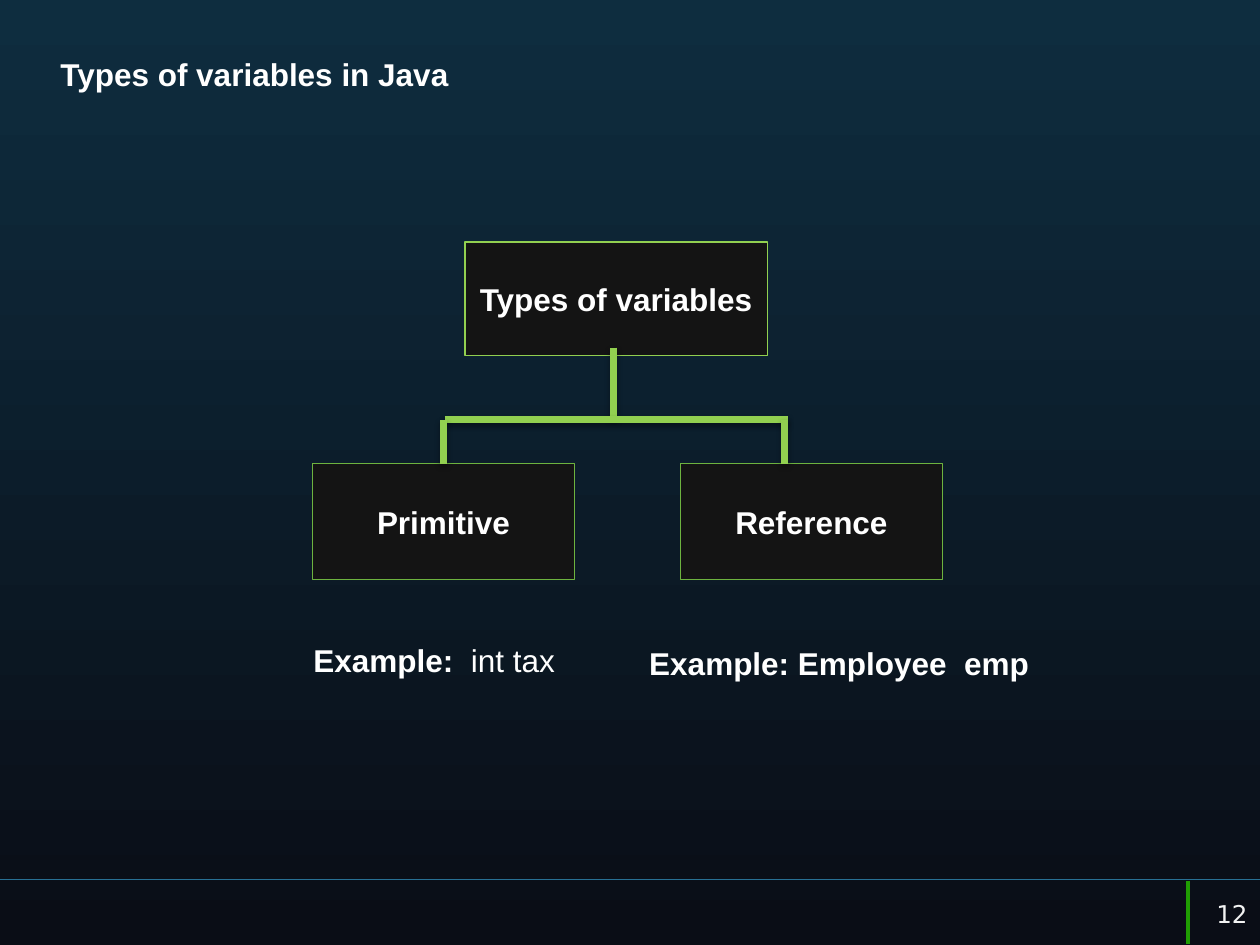
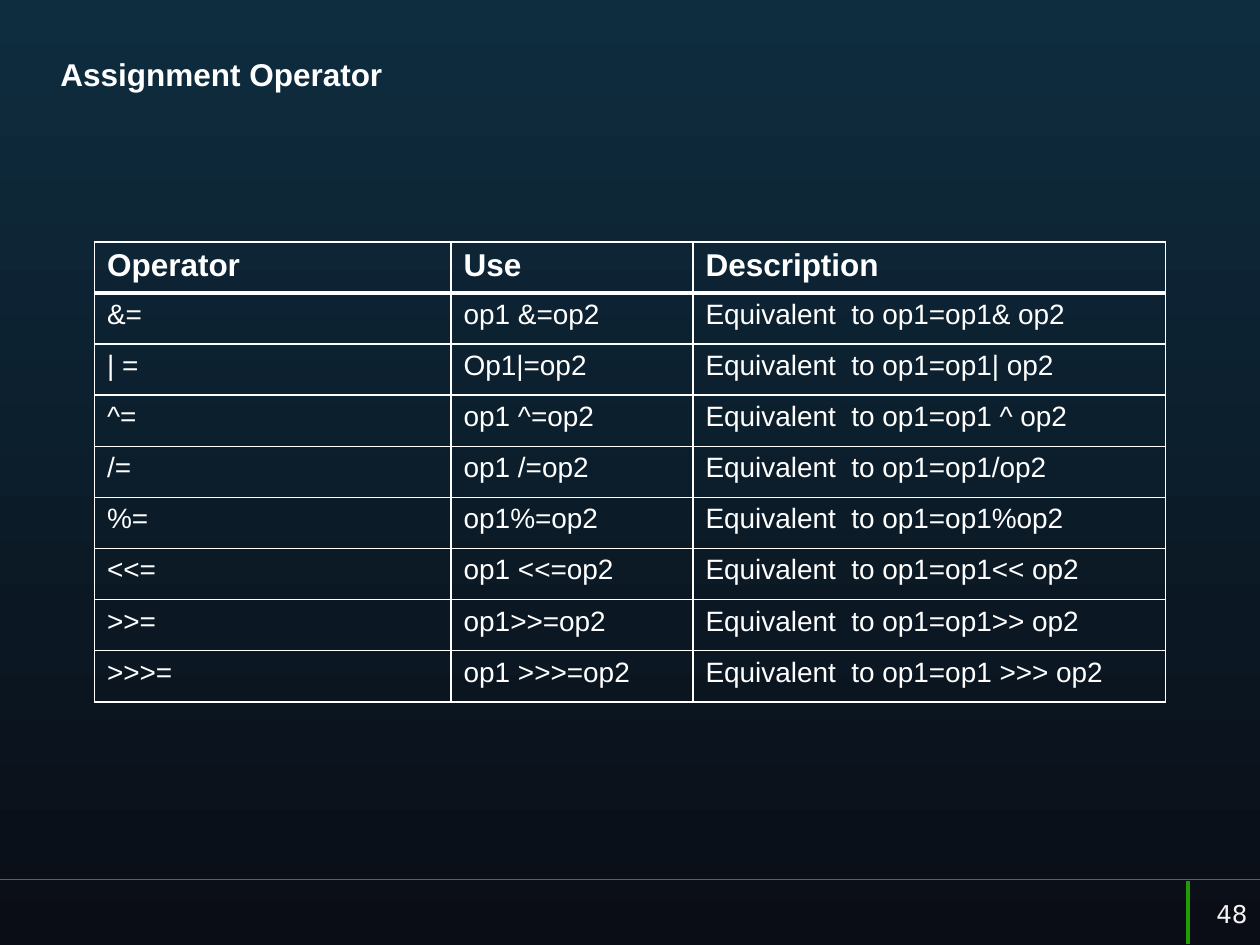
from lxml.etree import SubElement
from pptx import Presentation
from pptx.dml.color import RGBColor
from pptx.enum.shapes import MSO_CONNECTOR, MSO_SHAPE
from pptx.enum.text import MSO_ANCHOR, MSO_AUTO_SIZE, PP_ALIGN
from pptx.oxml.ns import qn
from pptx.util import Inches, Pt

COLOURS = {
    "top": "0E2D3F",
    "bottom": "0A0D16",
    "rule": "287094",
    "marker": "209D03",
    "box": "141414",
    "edge": "6DB33F",
    "branch": "92D050",
    "text": "FFFFFF",
    "number": "F2F2F2",
    "shadow": "000000",
}
FONT = "Arial"
NUMBER_FONT = "DejaVu Sans"
TITLE_ONLY = 5

BOX_TOP, BOX_WIDTH, BOX_HEIGHT = 3.68, 2.08, 0.92
PRIMITIVE_LEFT, REFERENCE_LEFT = 2.48, 5.4
BRANCH_LEFT, BRANCH_RIGHT, BRANCH_Y = 3.53, 6.25, 3.33
TRUNK_X, TRUNK_TOP, REFERENCE_X = 4.87, 2.76, 6.23

HEADINGS = ("Operator", "Use", "Description")
OPERATORS = [
    ("&=", "op1 &=op2", "op1& op2"),
    ("| =", "Op1|=op2", "op1| op2"),
    ("^=", "op1 ^=op2", "op1 ^ op2"),
    ("/=", "op1 /=op2", "op1/op2"),
    ("%=", "op1%=op2", "op1%op2"),
    ("<<=", "op1 <<=op2", "op1<< op2"),
    (">>=", "op1>>=op2", "op1>> op2"),
    (">>>=", "op1 >>>=op2", "op1 >>> op2"),
]
COLUMN_WIDTHS = (2.83, 1.92, 3.75)
TABLE_HEIGHT = 3.65


def colour(name):
    return RGBColor.from_string(COLOURS[name])


def write(frame, *texts, size=18, font=FONT, ink="text", bold=(True,),
          align=PP_ALIGN.LEFT, anchor=MSO_ANCHOR.TOP):
    frame.vertical_anchor = anchor
    para = frame.paragraphs[0]
    para.alignment = align
    for text, heavy in zip(texts, bold):
        span = para.add_run()
        span.text = text
        span.font.size = Pt(size)
        span.font.name = font
        span.font.bold = heavy
        span.font.color.rgb = colour(ink)


def add_line(shapes, start, end, ink, width, shadow=False):
    line = shapes.add_connector(MSO_CONNECTOR.STRAIGHT, *map(Inches, start + end))
    line.line.color.rgb = colour(ink)
    line.line.width = Pt(width)
    effects = SubElement(line._element.spPr, qn("a:effectLst"))
    if shadow:
        outer = SubElement(effects, qn("a:outerShdw"), blurRad=str(Pt(3.1)),
                           dist=str(Pt(1.6)), dir="5400000", rotWithShape="0")
        shade = SubElement(outer, qn("a:srgbClr"), val=COLOURS["shadow"])
        SubElement(shade, qn("a:alpha"), val="38000")
    return line


def add_box(shapes, text, left, top, width, height, edge):
    box = shapes.add_shape(MSO_SHAPE.RECTANGLE, *map(Inches, (left, top, width, height)))
    box.shadow.inherit = False
    box.fill.solid()
    box.fill.fore_color.rgb = colour("box")
    box.line.color.rgb = colour(edge)
    box.line.width = Pt(0.75)
    write(box.text_frame, text, align=PP_ALIGN.CENTER, anchor=MSO_ANCHOR.MIDDLE)
    return box


def add_text(page, *texts, at, wrap=False, **style):
    frame = page.shapes.add_textbox(*map(Inches, at)).text_frame
    frame.word_wrap = wrap
    frame.auto_size = MSO_AUTO_SIZE.NONE if wrap else MSO_AUTO_SIZE.SHAPE_TO_FIT_TEXT
    write(frame, *texts, **style)


def add_page(deck, title, number):
    page = deck.slides.add_slide(deck.slide_layouts[TITLE_ONLY])
    fill = page.background.fill
    fill.gradient()
    fill.gradient_angle = 270
    for stop, name, position in zip(fill.gradient_stops, ("top", "bottom"), (0, 1)):
        stop.color.rgb = colour(name)
        stop.position = position
    add_line(page.shapes, (10, 6.98), (0, 6.98), "rule", 0.75)
    add_line(page.shapes, (9.43, 6.99), (9.43, 7.49), "marker", 2)
    heading = page.shapes.title
    heading.left, heading.top, heading.width, heading.height = map(
        Inches, (0.38, 0.39, 9.18, 0.66))
    write(heading.text_frame, title)
    add_text(page, number, at=(9.42, 7, 0.58, 0.5), wrap=True, size=14,
             font=NUMBER_FONT, ink="number", bold=(False,),
             align=PP_ALIGN.RIGHT, anchor=MSO_ANCHOR.MIDDLE)
    return page


def set_borders(cell, **widths):
    properties = cell._tc.get_or_add_tcPr()
    for index, (side, width) in enumerate(widths.items()):
        border = SubElement(properties, qn(f"a:ln{side}"), w=str(Pt(width)))
        fill = SubElement(border, qn("a:solidFill"))
        SubElement(fill, qn("a:srgbClr"), val=COLOURS["text"])
        properties.insert(index, border)


def add_grid(page, rows, left, top):
    grid = page.shapes.add_table(
        len(rows), len(COLUMN_WIDTHS), Inches(left), Inches(top),
        Inches(sum(COLUMN_WIDTHS)), Inches(TABLE_HEIGHT)).table
    grid.first_row = grid.horz_banding = False
    for column, width in zip(grid.columns, COLUMN_WIDTHS):
        column.width = Inches(width)
    for row_index, texts in enumerate(rows):
        header = row_index == 0
        for cell, text in zip(grid.rows[row_index].cells, texts):
            cell.fill.background()
            set_borders(cell, L=1, R=1, T=3 if row_index == 1 else 1, B=3 if header else 1)
            write(cell.text_frame, text, size=18 if header else 16, bold=(header,))


def add_variable_tree(page):
    shapes = page.shapes.add_group_shape().shapes
    primitive = add_box(shapes, "Primitive", PRIMITIVE_LEFT, BOX_TOP,
                        BOX_WIDTH, BOX_HEIGHT, "edge")
    add_box(shapes, "Types of variables", 3.69, 1.92, 2.4, 0.9, "branch")
    add_box(shapes, "Reference", REFERENCE_LEFT, BOX_TOP, BOX_WIDTH, BOX_HEIGHT, "edge")
    branches = [
        ((TRUNK_X, TRUNK_TOP), (TRUNK_X, BRANCH_Y)),
        ((BRANCH_LEFT, BRANCH_Y), (BRANCH_RIGHT, BRANCH_Y)),
        ((REFERENCE_X, BRANCH_Y), (REFERENCE_X, BOX_TOP)),
    ]
    for start, end in branches:
        add_line(shapes, start, end, "branch", 4, shadow=True)
    primitive_x = PRIMITIVE_LEFT + BOX_WIDTH / 2
    drop = add_line(shapes, (primitive_x, BRANCH_Y), (primitive_x, BOX_TOP),
                    "branch", 4, shadow=True)
    drop.end_connect(primitive, 0)


def main():
    deck = Presentation()
    deck.slide_width, deck.slide_height = Inches(10), Inches(7.5)

    page = add_page(deck, "Types of variables in Java", "12")
    add_variable_tree(page)
    add_text(page, "Example:  ", "int tax", at=(2.34, 5.04, 2.21, 0.4),
             bold=(True, False), align=PP_ALIGN.CENTER)
    add_text(page, "Example: Employee  emp", at=(5, 5.06, 3.32, 0.4),
             align=PP_ALIGN.CENTER)

    page = add_page(deck, "Assignment Operator", "48")
    rows = [(sign, use, f"Equivalent  to op1={result}") for sign, use, result in OPERATORS]
    add_grid(page, [HEADINGS] + rows, 0.75, 1.92)

    deck.save("out.pptx")


if __name__ == "__main__":
    main()
